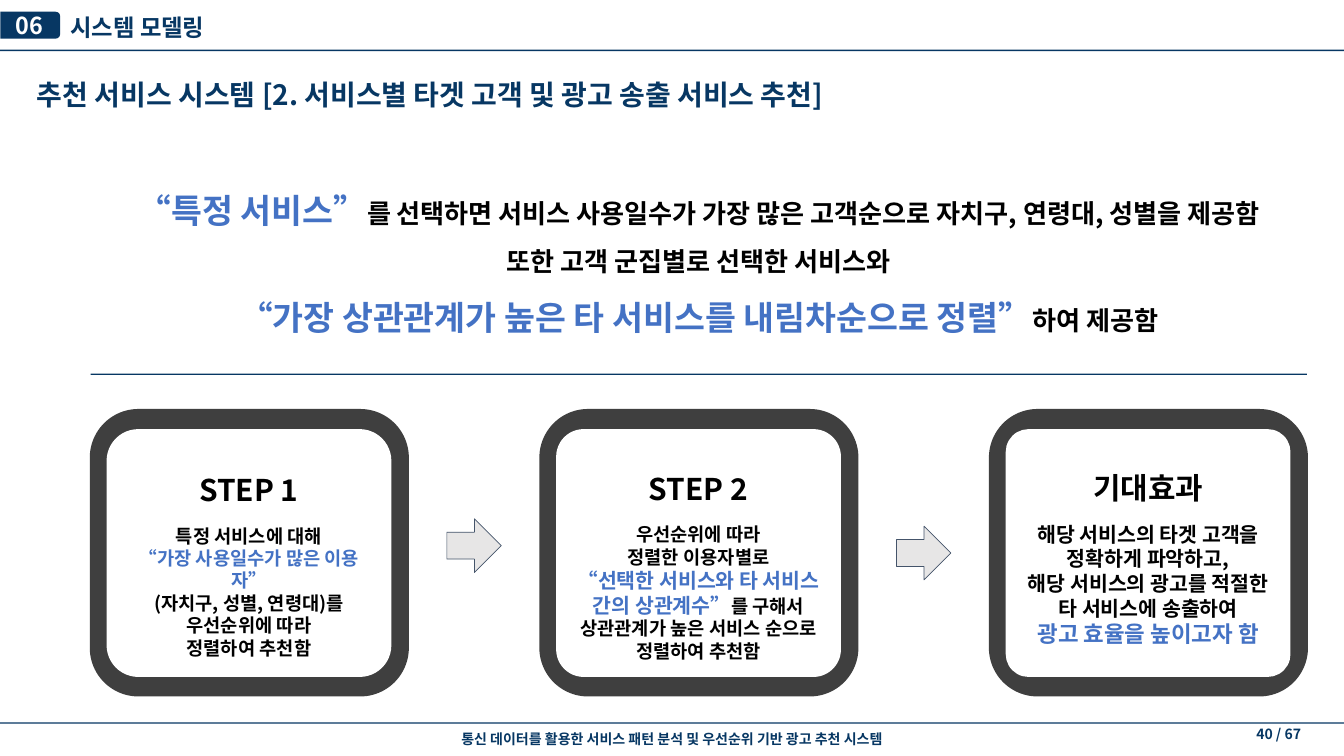
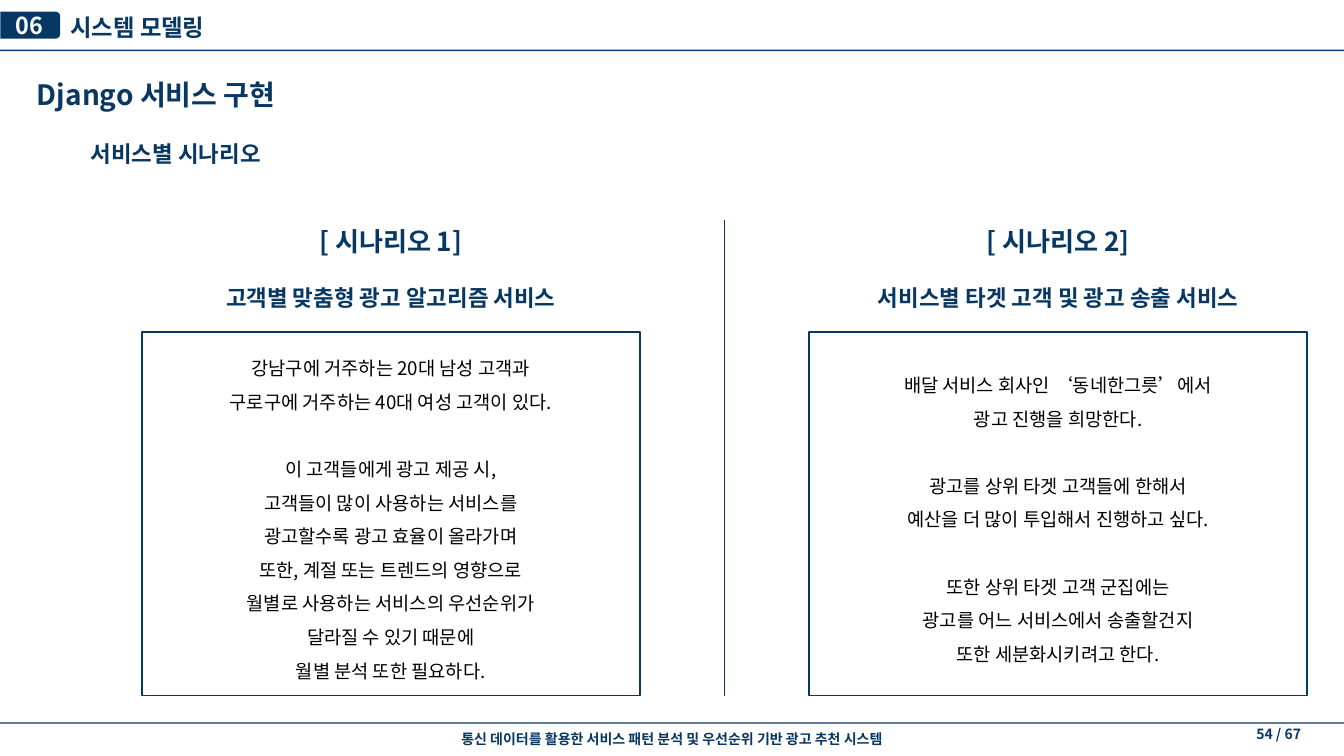
from lxml import etree
from pptx import Presentation, util as u
from pptx.dml.color import RGBColor
from pptx.enum import shapes, text
from pptx.oxml.ns import qn

NAVY = RGBColor(0x07, 0x37, 0x63)
BLUE = RGBColor(0x44, 0x72, 0xC4)
BLACK = RGBColor(0, 0, 0)
WHITE = RGBColor(255, 255, 255)
CHARCOAL = RGBColor(0x3F, 0x3F, 0x3F)
ARROW_FILL = RGBColor(0xE7, 0xE6, 0xE6)
ARROW_EDGE = RGBColor(0x44, 0x54, 0x6A)
FONT = "Noto Sans CJK KR"
KIND = shapes.MSO_SHAPE
LEFT, CENTER, RIGHT = text.PP_ALIGN.LEFT, text.PP_ALIGN.CENTER, text.PP_ALIGN.RIGHT
TOP, MIDDLE = text.MSO_ANCHOR.TOP, text.MSO_ANCHOR.MIDDLE
WIDTH, HEIGHT = 20, 11.25
MARGIN, CONTENT_RIGHT, CONTENT_BOTTOM = 1.35, 19.45, 10.35
RULE = 0.02
FLUSH = (0, 0, 0, 0)
PADDED = (0.1, 0.05, 0.1, 0.05)


def line(*runs, **style):
    return runs, style


def hi(words, size=None):
    return words, {"color": BLUE, **({"size": size} if size else {})}


SECTION_NUMBER, SECTION = "06", "시스템 모델링"
FOOTER = "통신 데이터를 활용한 서비스 패턴 분석 및 우선순위 기반 광고 추천 시스템"

SUMMARY = [
    line(hi("“특정 서비스”", 36),
         "를 선택하면 서비스 사용일수가 가장 많은 고객순으로 자치구, 연령대, 성별을 제공함"),
    line("또한 고객 군집별로 선택한 서비스와"),
    line(hi("“가장 상관관계가 높은 타 서비스를 내림차순으로 정렬”", 36), "하여 제공함"),
]

STEPS = [
    ("STEP 1", 20, 0.125, [
        line("특정 서비스에 대해"),
        line(hi("“가장 사용일수가 많은 이용자”")),
        line("(자치구, 성별, 연령대)를"),
        line("우선순위에 따라"),
        line("정렬하여 추천함"),
    ]),
    ("STEP 2", 20, 0.108, [
        line("우선순위에 따라"),
        line("정렬한 이용자별로"),
        line(hi("“선택한 서비스와 타 서비스 간의 상관계수”", 22), "를 구해서"),
        line("상관관계가 높은 서비스 순으로 정렬하여 추천함"),
    ]),
    ("기대효과", 22, 0.089, [
        line("해당 서비스의 타겟 고객을"),
        line("정확하게 파악하고,"),
        line("해당 서비스의 광고를 적절한 타 서비스에 송출하여"),
        line(hi("광고 효율을 높이고자 함", 24)),
    ]),
]
ARROW_TOPS = (7.72, 7.83)

SCENARIOS = [
    ("[ 시나리오 1]", "고객별 맞춤형 광고 알고리즘 서비스", [
        ["강남구에 거주하는 20대 남성 고객과", "구로구에 거주하는 40대 여성 고객이 있다."],
        ["이 고객들에게 광고 제공 시,", "고객들이 많이 사용하는 서비스를",
         "광고할수록 광고 효율이 올라가며", "또한, 계절 또는 트렌드의 영향으로",
         "월별로 사용하는 서비스의 우선순위가", "달라질 수 있기 때문에",
         "월별 분석 또한 필요하다."],
    ]),
    ("[ 시나리오 2]", "서비스별 타겟 고객 및 광고 송출 서비스", [
        ["배달 서비스 회사인 ‘동네한그릇’에서", "광고 진행을 희망한다."],
        ["광고를 상위 타겟 고객들에 한해서", "예산을 더 많이 투입해서 진행하고 싶다."],
        ["또한 상위 타겟 고객 군집에는", "광고를 어느 서비스에서 송출할건지",
         "또한 세분화시키려고 한다."],
    ]),
]


def inches(*lengths):
    return [u.Inches(length) for length in lengths]


def write(holder, lines, size=20, color=NAVY, bold=True, align=LEFT, spacing=1.0,
          anchor=TOP, insets=PADDED):
    frame = holder.text_frame
    frame.word_wrap = True
    frame.vertical_anchor = anchor
    (frame.margin_left, frame.margin_top,
     frame.margin_right, frame.margin_bottom) = inches(*insets)
    if isinstance(lines, str):
        lines = [line(lines)]
    for index, (runs, style) in enumerate(lines):
        paragraph = frame.add_paragraph() if index else frame.paragraphs[0]
        paragraph.alignment = align
        paragraph.line_spacing = style.get("spacing", spacing)
        paragraph.space_before = u.Pt(style.get("before", 0))
        for item in runs:
            words, accent = (item, {}) if isinstance(item, str) else item
            look = {"size": size, "color": color, **style, **accent}
            run = paragraph.add_run()
            run.text = words
            run.font.size = u.Pt(look["size"])
            run.font.bold = bold
            run.font.color.rgb = look["color"]
            run.font.name = FONT
            etree.SubElement(run._r.get_or_add_rPr(), qn("a:ea"), typeface=FONT)


def label(slide, box, lines, **style):
    write(slide.shapes.add_textbox(*inches(*box)), lines, **style)


def block(slide, kind, box, fill=None, edge=None, weight=2, adjust=()):
    shape = slide.shapes.add_shape(kind, *inches(*box))
    shape.shadow.inherit = False
    if fill is None:
        shape.fill.background()
    else:
        shape.fill.solid()
        shape.fill.fore_color.rgb = fill
    if edge is None:
        shape.line.fill.background()
    else:
        shape.line.color.rgb = edge
        shape.line.width = u.Pt(weight)
    for index, value in enumerate(adjust):
        shape.adjustments[index] = value
    return shape


def rule(slide, left, top, width):
    block(slide, KIND.RECTANGLE, (left, top, width, RULE), NAVY)


def base_slide(deck, title, page):
    slide = deck.slides.add_slide(deck.slide_layouts[6])
    rule(slide, 0, 10.75, WIDTH)
    label(slide, (5.01, 10.75, 9.98, 0.39), FOOTER, size=15, align=CENTER, spacing=1.26)
    label(slide, (9.48, 10.75, 9.98, 0.35), page, size=15, align=RIGHT)
    tab = block(slide, KIND.ROUND_2_SAME_RECTANGLE, (0.25, -0.07, 0.4, 0.89), NAVY,
                adjust=(0.167, 0))
    tab.rotation = 90
    label(slide, (0, 0.19, 0.87, 0.36), SECTION_NUMBER, size=25, color=WHITE,
          align=CENTER, anchor=MIDDLE)
    rule(slide, 0, 0.74, WIDTH)
    label(slide, (1.05, 0.12, 6.08, 0.5), SECTION, size=25, spacing=1.2, insets=FLUSH)
    label(slide, (0.55, 1.06, 13.43, 0.61), title, size=30, spacing=1.2, insets=FLUSH)
    return slide


def modeling_slide(deck):
    slide = base_slide(deck, "추천 서비스 시스템 [2. 서비스별 타겟 고객 및 광고 송출 서비스 추천]",
                       "40 / 67")
    label(slide, (1.49, 2.52, 17.81, 2.52), SUMMARY, size=28, color=BLACK,
          align=CENTER, spacing=1.5, insets=FLUSH)
    rule(slide, MARGIN, 5.56, CONTENT_RIGHT - MARGIN)

    card_top, card_width, arrow_width = 6.1, 4.72, 0.81
    pitch = (CONTENT_RIGHT - MARGIN - card_width) / (len(STEPS) - 1)
    for column, (heading, size, corner, body) in enumerate(STEPS):
        left = MARGIN + column * pitch
        block(slide, KIND.ROUNDED_RECTANGLE,
              (left, card_top, card_width, CONTENT_BOTTOM - card_top),
              CHARCOAL, CHARCOAL, adjust=(0.167,))
        panel = block(slide, KIND.ROUNDED_RECTANGLE,
                      (left + 0.25, card_top + 0.3, 4.21, 3.66),
                      WHITE, WHITE, adjust=(corner,))
        first, *rest = body
        lines = [line(heading, size=32, spacing=1.5), line(*first[0], before=18), *rest]
        write(panel, lines, size=size, color=BLACK, align=CENTER,
              insets=(0.1, 0.22, 0.1, 0.05))

    for column, top in enumerate(ARROW_TOPS):
        gap_middle = MARGIN + column * pitch + (card_width + pitch) / 2
        block(slide, KIND.RIGHT_ARROW, (gap_middle - arrow_width / 2, top, arrow_width, 0.8),
              ARROW_FILL, ARROW_EDGE, 0.75)


def scenario_slide(deck):
    slide = base_slide(deck, "Django 서비스 구현", "54 / 67")
    label(slide, (MARGIN, 2, 13.43, 0.48), "서비스별 시나리오", size=24, spacing=1.2,
          insets=FLUSH)

    heading_top, box_top, box_width, heading_width = 3.27, 4.94, 7.41, 6.27
    box_lefts = (2.11, CONTENT_RIGHT - box_width)
    for left, (heading, service, groups) in zip(box_lefts, SCENARIOS):
        label(slide, (left + (box_width - heading_width) / 2, heading_top, heading_width, 1.45),
              [line(heading, size=28), line(service, before=29)],
              size=24, align=CENTER, anchor=MIDDLE)
        frame = block(slide, KIND.RECTANGLE,
                      (left, box_top, box_width, CONTENT_BOTTOM - box_top), edge=NAVY)
        lines = [line(words, before=36 if number and not row else 0)
                 for number, group in enumerate(groups) for row, words in enumerate(group)]
        write(frame, lines, color=BLACK, bold=False, align=CENTER, spacing=1.5, anchor=MIDDLE)

    middle = (box_lefts[0] + box_width + box_lefts[1]) / 2
    divider = slide.shapes.add_connector(
        shapes.MSO_CONNECTOR.STRAIGHT, *inches(middle, heading_top, middle, CONTENT_BOTTOM))
    divider.line.color.rgb = NAVY
    divider.line.width = u.Pt(0.5)
    etree.SubElement(divider._element.spPr, qn("a:effectLst"))


def main():
    deck = Presentation()
    deck.slide_width, deck.slide_height = inches(WIDTH, HEIGHT)
    modeling_slide(deck)
    scenario_slide(deck)
    deck.save("out.pptx")


if __name__ == "__main__":
    main()
